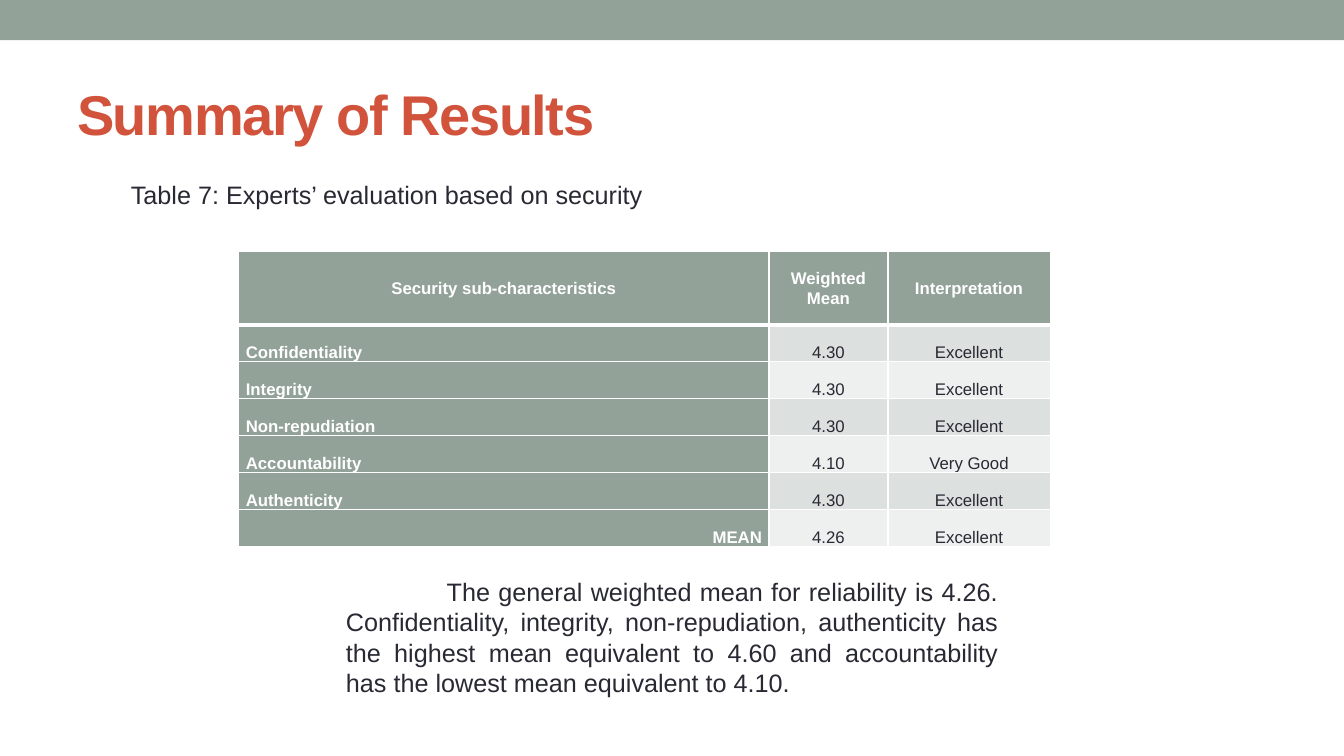
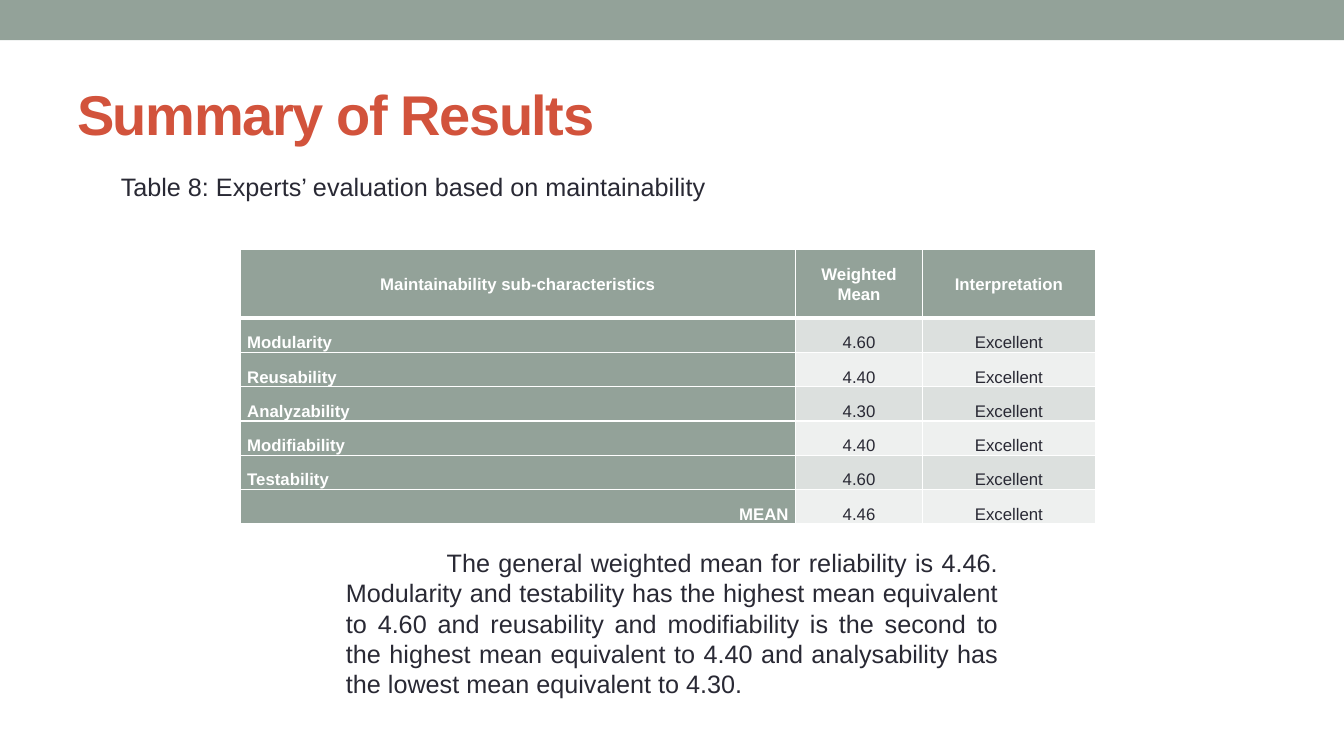
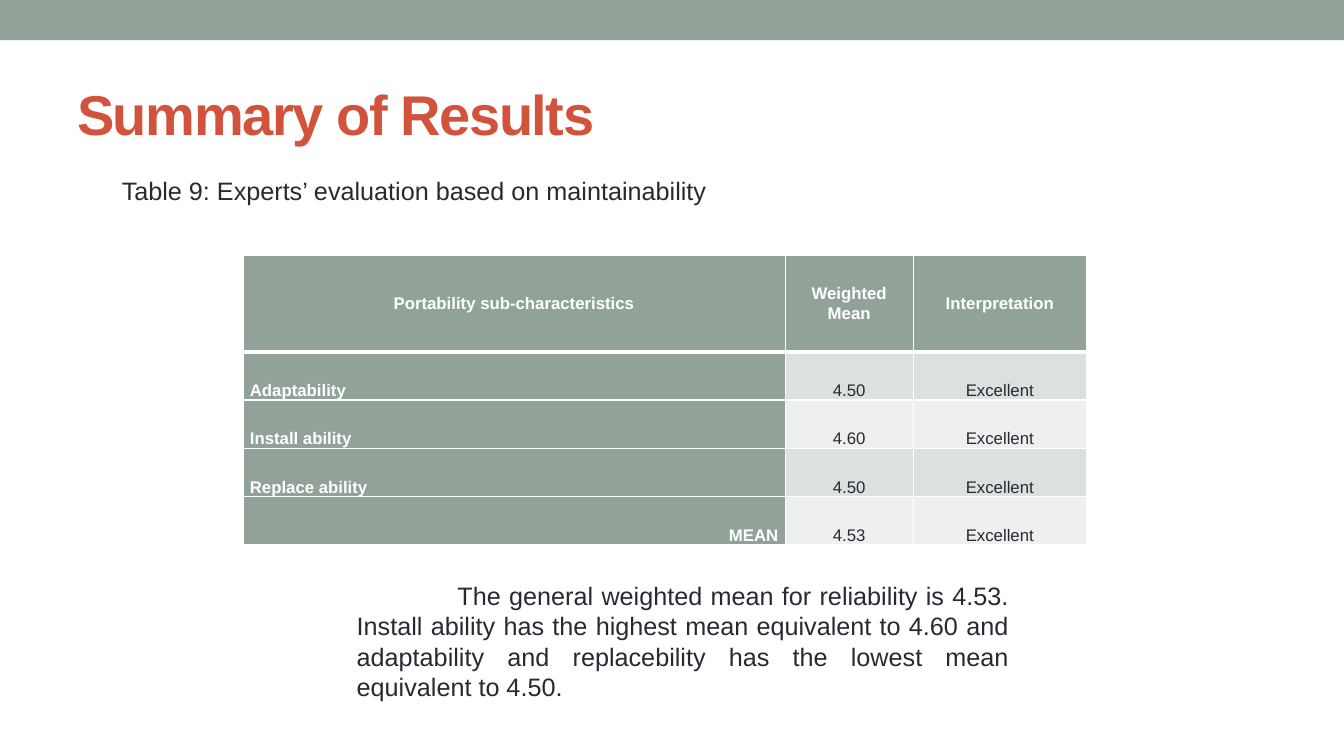
from dataclasses import dataclass
from itertools import product

from lxml.etree import SubElement
from pptx import Presentation
from pptx.dml.color import RGBColor
from pptx.enum.shapes import MSO_SHAPE
from pptx.enum.text import MSO_ANCHOR as Anchor, MSO_AUTO_SIZE as AutoSize, PP_ALIGN as Align
from pptx.oxml.ns import qn
from pptx.slide import Slide
from pptx.table import _Cell as Cell
from pptx.text.text import TextFrame, _Paragraph as Paragraph
from pptx.util import Pt

WIDTH, HEIGHT = 960, 540
FONT = "Arial"
SAGE, RUST, INK, WHITE = "93A299", "D2533C", "292934", "FFFFFF"
BANDS = ("DCE0DE", "EEF0EF")
TITLE = "Summary of Results"
HEADINGS = ("Weighted\nMean", "Interpretation")
NAME_ALIGN = {"MEAN": Align.RIGHT}


@dataclass(frozen=True)
class Box:
    left: float
    top: float
    width: float
    height: float


@dataclass(frozen=True)
class ResultTable:
    left: float
    top: float
    columns: tuple[float, float, float]
    row_height: float
    subject: str
    scores: tuple[tuple[str, str, str], ...]


@dataclass(frozen=True)
class ResultSlide:
    caption: str
    caption_box: Box
    table: ResultTable
    summary: str
    summary_box: Box


RESULTS = (
    ResultSlide(
        "Table 7: Experts’ evaluation based on security",
        Box(86.4, 124.6, 383.8, 29),
        ResultTable(
            170.6, 179.3, (378.7, 85, 115.9), 26.4, "Security",
            (
                ("Confidentiality", "4.30", "Excellent"),
                ("Integrity", "4.30", "Excellent"),
                ("Non-repudiation", "4.30", "Excellent"),
                ("Accountability", "4.10", "Very Good"),
                ("Authenticity", "4.30", "Excellent"),
                ("MEAN", "4.26", "Excellent"),
            ),
        ),
        "The general weighted mean for reliability is 4.26. Confidentiality, integrity, "
        "non-repudiation, authenticity has the highest mean equivalent to 4.60 and "
        "accountability has the lowest mean equivalent to 4.10.",
        Box(240, 408.2, 480, 94.5),
    ),
    ResultSlide(
        "Table 8: Experts’ evaluation based on maintainability",
        Box(79.2, 118.8, 435.6, 29),
        ResultTable(
            171.6, 178.2, (396.7, 90.7, 123.4), 24.5, "Maintainability",
            (
                ("Modularity", "4.60", "Excellent"),
                ("Reusability", "4.40", "Excellent"),
                ("Analyzability", "4.30", "Excellent"),
                ("Modifiability", "4.40", "Excellent"),
                ("Testability", "4.60", "Excellent"),
                ("MEAN", "4.46", "Excellent"),
            ),
        ),
        "The general weighted mean for reliability is 4.46. Modularity and testability has "
        "the highest mean equivalent to 4.60 and reusability and modifiability is the second "
        "to the highest mean equivalent to 4.40 and analysability has the lowest mean "
        "equivalent to 4.30.",
        Box(240, 387.4, 480, 116.3),
    ),
    ResultSlide(
        "Table 9: Experts’ evaluation based on maintainability",
        Box(79.9, 121.7, 435.6, 29),
        ResultTable(
            173.5, 182.2, (387.4, 91.4, 123.8), 34.5, "Portability",
            (
                ("Adaptability", "4.50", "Excellent"),
                ("Install ability", "4.60", "Excellent"),
                ("Replace ability", "4.50", "Excellent"),
                ("MEAN", "4.53", "Excellent"),
            ),
        ),
        "The general weighted mean for reliability is 4.53. Install ability has the highest "
        "mean equivalent to 4.60 and adaptability and replacebility has the lowest mean "
        "equivalent to 4.50.",
        Box(247.7, 411.1, 480, 94.5),
    ),
)


def rgb(color: str) -> RGBColor:
    return RGBColor.from_string(color)


def style(p: Paragraph, size: float, color: str, bold: bool = False,
          align: Align = Align.LEFT) -> None:
    p.alignment = align
    p.font.name, p.font.size, p.font.bold = FONT, Pt(size), bold
    p.font.color.rgb = rgb(color)


def add_text(s: Slide, box: Box, text: str) -> TextFrame:
    tf = s.shapes.add_textbox(Pt(box.left), Pt(box.top), Pt(box.width), Pt(box.height)).text_frame
    tf.word_wrap = True
    tf.text = text
    return tf


def add_frame(s: Slide) -> None:
    band = s.shapes.add_shape(MSO_SHAPE.RECTANGLE, 0, 0, Pt(WIDTH), Pt(28.8))
    band.shadow.inherit = False
    band.fill.solid()
    band.fill.fore_color.rgb = rgb(SAGE)
    band.line.fill.background()
    tf = add_text(s, Box(48, 41.8, 864, 77.8), TITLE)
    tf.vertical_anchor = Anchor.MIDDLE
    p = tf.paragraphs[0]
    style(p, 40, RUST, bold=True)
    p.runs[0]._r.get_or_add_rPr().set("spc", "-100")


def set_borders(cell: Cell, top: float, bottom: float) -> None:
    tc_pr = cell._tc.get_or_add_tcPr()
    for side, width in (("L", 1), ("R", 1), ("T", top), ("B", bottom)):
        ln = SubElement(tc_pr, qn(f"a:ln{side}"), w=str(Pt(width)))
        SubElement(SubElement(ln, qn("a:solidFill")), qn("a:srgbClr"), val=WHITE)


def fill_cell(cell: Cell, text: str, row: int, col: int) -> None:
    is_header, is_label = row == 0, row == 0 or col == 0
    set_borders(cell, 3 if row == 1 else 1, 3 if is_header else 1)
    cell.fill.solid()
    cell.fill.fore_color.rgb = rgb(SAGE if is_label else BANDS[(row - 1) % 2])
    cell.margin_left = cell.margin_right = Pt(5)
    cell.margin_top = cell.margin_bottom = 0
    cell.vertical_anchor = Anchor.MIDDLE if is_header else Anchor.BOTTOM
    cell.text_frame.text = text
    align = NAME_ALIGN.get(text, Align.LEFT) if col == 0 and not is_header else Align.CENTER
    for p in cell.text_frame.paragraphs:
        style(p, 12, WHITE if is_label else INK, is_label, align)
        p.line_spacing = 1.07


def add_results(s: Slide, spec: ResultTable) -> None:
    rows = ((f"{spec.subject} sub-characteristics", *HEADINGS), *spec.scores)
    heights = [2 * spec.row_height] + [spec.row_height] * len(spec.scores)
    table = s.shapes.add_table(
        len(rows), len(spec.columns), Pt(spec.left), Pt(spec.top),
        Pt(sum(spec.columns)), Pt(sum(heights)),
    ).table
    table.first_row = table.horz_banding = False
    for column, width in zip(table.columns, spec.columns):
        column.width = Pt(width)
    for row, height in zip(table.rows, heights):
        row.height = Pt(height)
    for row, col in product(range(len(rows)), range(len(spec.columns))):
        fill_cell(table.cell(row, col), rows[row][col], row, col)


def add_result_slide(prs: Presentation, result: ResultSlide) -> None:
    s = prs.slides.add_slide(prs.slide_layouts[6])
    add_frame(s)
    add_results(s, result.table)
    caption = add_text(s, result.caption_box, result.caption)
    caption.word_wrap = False
    style(caption.paragraphs[0], 18, INK)
    summary = add_text(s, result.summary_box, result.summary)
    p = summary.paragraphs[0]
    style(p, 18, INK, align=Align.JUSTIFY)
    p._p.get_or_add_pPr().set("indent", str(Pt(72)))
    for tf in (caption, summary):
        tf.auto_size = AutoSize.SHAPE_TO_FIT_TEXT


prs = Presentation()
prs.slide_width, prs.slide_height = Pt(WIDTH), Pt(HEIGHT)
for result in RESULTS:
    add_result_slide(prs, result)
prs.save("out.pptx")
